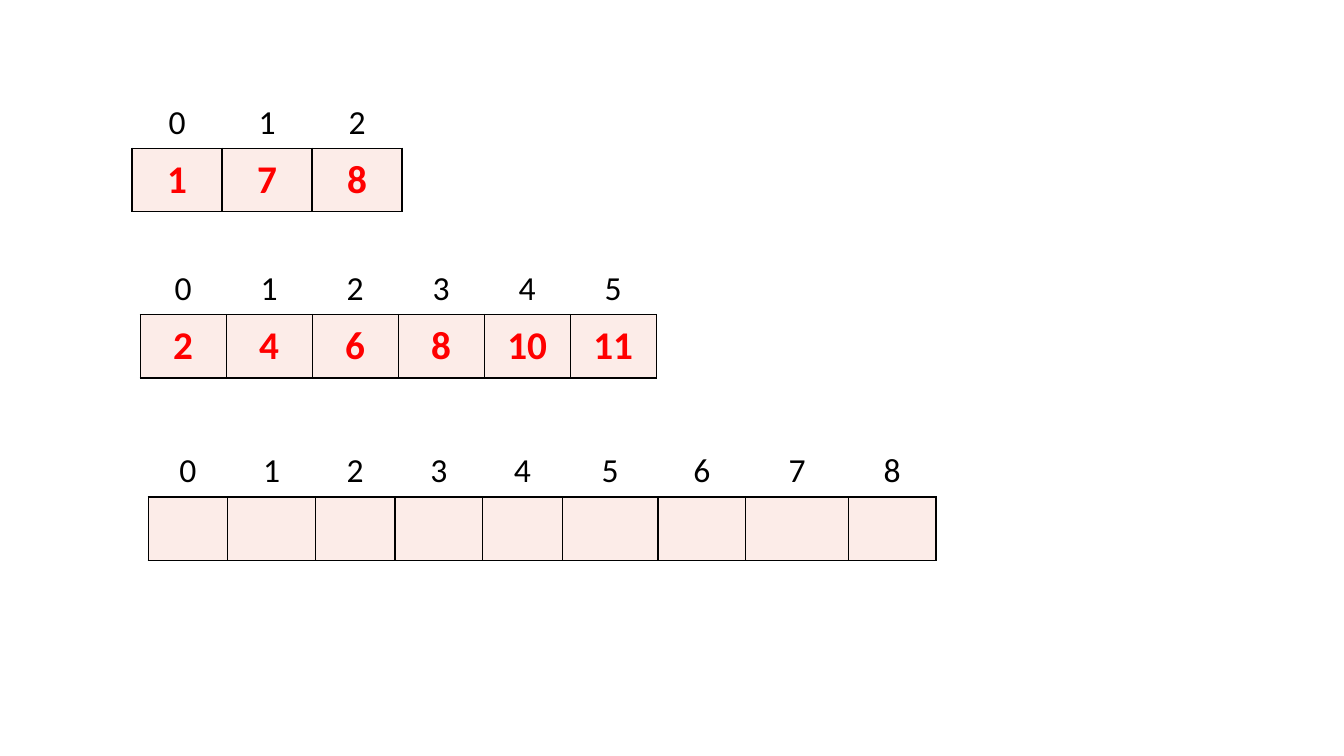
from lxml import etree
from pptx import Presentation
from pptx.dml.color import RGBColor
from pptx.enum import text
from pptx.oxml.ns import qn
from pptx.util import Pt

ROW_HEIGHT = 45.36
NARROW, MEDIUM, WIDE, WIDEST = 56.9, 62.6, 68.4, 73.4

# Each array: left, top, column widths, values
arrays = [
    (94.3, 60.5, [64.3] * 3, [1, 7, 8]),
    (100.1, 179.3, [61.44] * 6, [2, 4, 6, 8, 10, 11]),
    (105.8, 309.6,
     [NARROW, MEDIUM, NARROW, MEDIUM, NARROW, WIDE, MEDIUM, WIDEST, MEDIUM],
     [""] * 9),
]


def format_cell(cell, content, size, color, fill, bold, anchor, edges):
    # Borders come before the fill in the cell properties
    properties = cell._tc.get_or_add_tcPr()
    for edge in edges:
        line = etree.SubElement(properties, qn(f"a:ln{edge}"), w=str(Pt(1)))
        solid = etree.SubElement(line, qn("a:solidFill"))
        etree.SubElement(solid, qn("a:srgbClr"), val="000000")
    cell.fill.solid()
    cell.fill.fore_color.rgb = RGBColor.from_string(fill)
    cell.vertical_anchor = anchor
    cell.text = str(content)
    paragraph = cell.text_frame.paragraphs[0]
    paragraph.alignment = text.PP_ALIGN.CENTER
    paragraph.font.name = "Calibri"
    paragraph.font.size = Pt(size)
    paragraph.font.bold = bold
    paragraph.font.color.rgb = RGBColor.from_string(color)


deck = Presentation()
deck.slide_width, deck.slide_height = Pt(960), Pt(540)
slide = deck.slides.add_slide(deck.slide_layouts[6])

for left, top, widths, values in arrays:
    array = slide.shapes.add_table(
        2, len(values), Pt(left), Pt(top), Pt(sum(widths)), Pt(2 * ROW_HEIGHT)
    ).table
    array.first_row = array.horz_banding = False
    for row in array.rows:
        row.height = Pt(ROW_HEIGHT)

    # Indexes above, boxed values below
    for index, (width, value) in enumerate(zip(widths, values)):
        array.columns[index].width = Pt(width)
        format_cell(array.cell(0, index), index, 24, "000000", "FFFFFF", False,
                    text.MSO_ANCHOR.BOTTOM, "B")
        format_cell(array.cell(1, index), value, 28, "FF0000", "FCECE8", True,
                    text.MSO_ANCHOR.MIDDLE, "LRTB")

deck.save("out.pptx")
